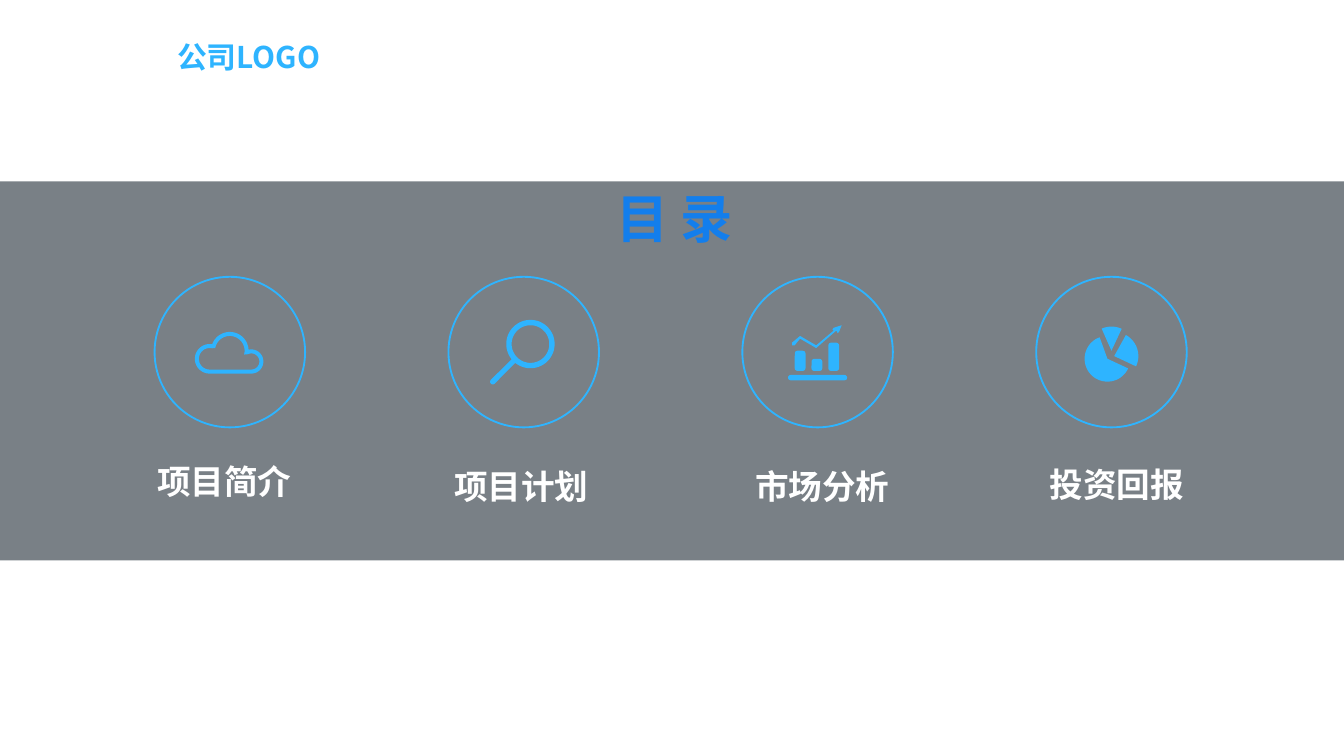
from dataclasses import dataclass
from math import cos, radians, sin
from typing import Callable

from lxml.etree import SubElement
from pptx import Presentation
from pptx.dml.color import RGBColor
from pptx.enum.shapes import MSO_SHAPE as Preset
from pptx.enum.text import MSO_AUTO_SIZE as AutoSize
from pptx.oxml.ns import qn
from pptx.util import Inches, Pt

Point = tuple[float, float]

WIDTH = 10
HEIGHT = WIDTH * 9 / 16
FONT = "Noto Sans CJK SC"
SKY, BLUE, SLATE, WHITE = "2EB4FF", "137EEC", "202C36", "FFFFFF"

# Four equal columns; every icon is drawn around the centre of its ring
FIRST_CENTRE, LAST_CENTRE = 1.71, 8.27
PITCH = (LAST_CENTRE - FIRST_CENTRE) / 3
RING_ROW, RING_SIZE = 2.62, 1.12


@dataclass
class Label:
    text: str
    left: float
    top: float
    width: float
    height: float
    size: float
    color: str


@dataclass
class Topic:
    label: Label
    draw_icon: Callable


def paint(color_format, color: str) -> None:
    color_format.rgb = RGBColor.from_string(color)


def add_label(shapes, label: Label) -> None:
    box = shapes.add_textbox(*map(Inches, (label.left, label.top, label.width, label.height)))
    frame = box.text_frame
    frame.word_wrap = False
    frame.auto_size = AutoSize.SHAPE_TO_FIT_TEXT
    span = frame.paragraphs[0].add_run()
    span.text = label.text
    font = span.font
    font.name, font.size, font.bold = FONT, Pt(label.size), True
    paint(font.color, label.color)
    # East Asian characters take their own typeface
    SubElement(font._element, qn("a:ea")).set("typeface", FONT)


def fill_plain(shape, color: str) -> None:
    shape.shadow.inherit = False
    shape.fill.solid()
    paint(shape.fill.fore_color, color)
    shape.line.fill.background()


def add_block(shapes, preset, left: float, top: float, width: float, height: float, color: str):
    block = shapes.add_shape(preset, *map(Inches, (left, top, width, height)))
    fill_plain(block, color)
    return block


def add_outline(shapes, centre: float, *contours: list[Point]) -> None:
    """Fill closed contours whose points are offsets from the ring's centre."""
    placed = [[(Inches(centre + x), Inches(RING_ROW + y)) for x, y in contour] for contour in contours]
    builder = shapes.build_freeform(*placed[0][0])
    for index, contour in enumerate(placed):
        if index:
            builder.move_to(*contour[0])
        builder.add_line_segments(contour[1:], close=True)
    fill_plain(builder.convert_to_shape(), SKY)


def arc(x: float, y: float, radius: float, start: float, end: float) -> list[Point]:
    """Points on a clockwise arc, angles in degrees."""
    steps = max(8, round((end - start) / 6))
    angles = [radians(start + (end - start) * step / steps) for step in range(steps + 1)]
    return [(x + radius * cos(angle), y + radius * sin(angle)) for angle in angles]


def draw_cloud(shapes, centre: float) -> None:
    outer = arc(-0.15, 0.05, 0.11, 90, 280) + arc(0, -0.01, 0.14, 200, 356) + arc(0.16, 0.07, 0.09, 257, 450)
    inner = arc(-0.15, 0.05, 0.08, 90, 282) + arc(0, -0.01, 0.11, 190, 375) + arc(0.16, 0.07, 0.06, 245, 450)
    add_outline(shapes, centre, outer, inner)


def draw_magnifier(shapes, centre: float) -> None:
    rim_and_handle = arc(0.05, -0.06, 0.18, 141, 489) + arc(-0.23, 0.22, 0.02, 45, 225)
    lens = arc(0.05, -0.06, 0.14, 0, 360)
    add_outline(shapes, centre, rim_and_handle, lens)


def draw_bar_chart(shapes, centre: float) -> None:
    bottom = 0.14
    for column, top in enumerate((-0.01, 0.05, -0.07)):
        bar = add_block(shapes, Preset.ROUNDED_RECTANGLE, centre - 0.17 + column / 8,
                        RING_ROW + top, 0.08, bottom - top, SKY)
        bar.adjustments[0] = 0.25
    base = add_block(shapes, Preset.ROUNDED_RECTANGLE, centre - 0.22, RING_ROW + 0.17, 0.44, 0.04, SKY)
    base.adjustments[0] = 0.5
    trend = [(-0.17, -0.05), (-0.13, -0.1), (-0.01, -0.03), (0.14, -0.16), (0.15, -0.14),
             (0.16, -0.15), (0.18, -0.2), (0.12, -0.18), (0.11, -0.17), (0.12, -0.16),
             (-0.01, -0.05), (-0.13, -0.12), (-0.19, -0.07), (-0.19, -0.05)]
    add_outline(shapes, centre, trend)


def draw_pie(shapes, centre: float) -> None:
    for x, y, radius, start, end in ((0, -0.01, 0.18, 246, 295),
                                     (0.02, 0.03, 0.18, 299, 385),
                                     (-0.03, 0.05, 0.17, 25, 250)):
        add_outline(shapes, centre, [(x, y)] + arc(x, y, radius, start, end))


def draw_topic(shapes, column: int, topic: Topic) -> None:
    centre = FIRST_CENTRE + column * PITCH
    group = shapes.add_group_shape().shapes
    ring = group.add_shape(Preset.OVAL, Inches(centre - RING_SIZE / 2), Inches(RING_ROW - RING_SIZE / 2),
                           Inches(RING_SIZE), Inches(RING_SIZE))
    ring.shadow.inherit = False
    ring.fill.background()
    paint(ring.line.color, SKY)
    ring.line.width = Pt(1)
    topic.draw_icon(group, centre)


def topic_label(text: str, left: float, top: float) -> Label:
    return Label(text, left, top, 1.22, 0.4, 18, WHITE)


TOPICS = [
    Topic(topic_label("项目简介", 1.07, 3.38), draw_cloud),
    Topic(topic_label("项目计划", 3.28, 3.42), draw_magnifier),
    Topic(topic_label("市场分析", 5.52, 3.42), draw_bar_chart),
    Topic(topic_label("投资回报", 7.71, 3.4), draw_pie),
]


def main() -> None:
    deck = Presentation()
    deck.slide_width, deck.slide_height = Inches(WIDTH), Inches(HEIGHT)
    page = deck.slides.add_slide(deck.slide_layouts[6])
    shapes = page.shapes

    # Header and translucent band
    add_label(shapes, Label("公司LOGO", 1.22, 0.24, 1.37, 0.37, 16, SKY))
    band = add_block(shapes, Preset.RECTANGLE, 0, 0.24 * HEIGHT, WIDTH, 2.82, SLATE)
    band_color = band._element.spPr.find(qn("a:solidFill"))[0]
    SubElement(band_color, qn("a:alpha")).set("val", "60000")

    # Icons, then their captions and the title
    for column, topic in enumerate(TOPICS):
        draw_topic(shapes, column, topic)
    for topic in TOPICS:
        add_label(shapes, topic.label)
    add_label(shapes, Label("目 录", 4.49, 1.34, 1.1, 0.57, 28, BLUE))

    deck.save("out.pptx")


if __name__ == "__main__":
    main()
